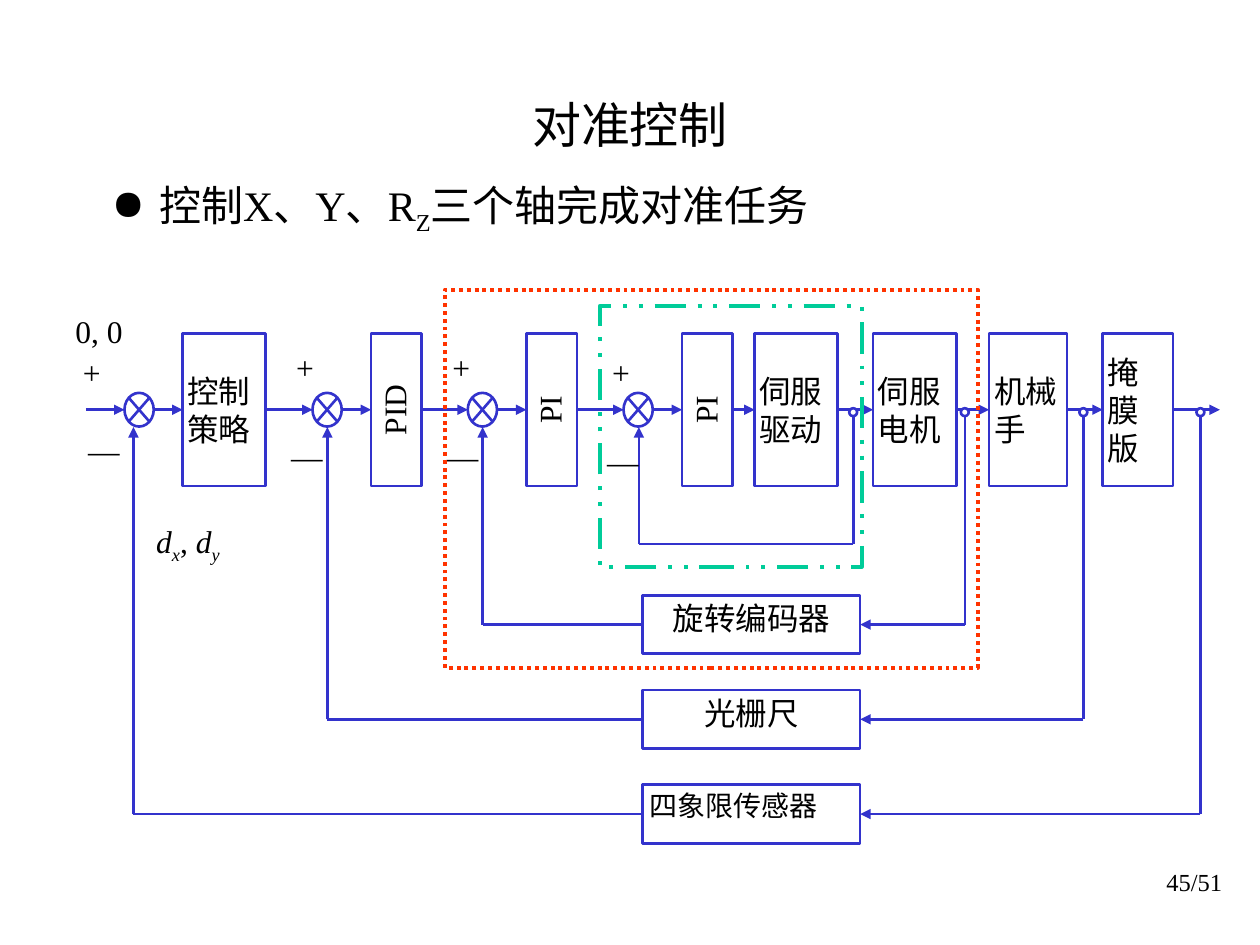
from lxml.etree import SubElement
from pptx import Presentation
from pptx.dml.color import RGBColor
from pptx.enum.dml import MSO_LINE
from pptx.enum.shapes import MSO_CONNECTOR, MSO_SHAPE
from pptx.enum.text import MSO_ANCHOR, PP_ALIGN
from pptx.oxml.ns import qn
from pptx.util import Cm, Pt

BLACK = RGBColor(0x00, 0x00, 0x00)
WHITE = RGBColor(0xFF, 0xFF, 0xFF)
BLUE = RGBColor(0x33, 0x33, 0xCC)
GREEN = RGBColor(0x00, 0xCC, 0x99)
RED = RGBColor(0xFF, 0x33, 0x00)
FONT = "Times New Roman"
LEFT, RIGHT = 1, 3

deck = Presentation()
deck.slide_width, deck.slide_height = Cm(25.4), Cm(19.05)
slide = deck.slides.add_slide(deck.slide_layouts[6])


def put(at, runs=(), kind=None, color=BLUE, fill=None, wide=1.5, dash=None,
        size=18, align=PP_ALIGN.LEFT, anchor=MSO_ANCHOR.TOP, inset=(0.15, 0.08),
        bullet=None):
    """Add a preset shape, or a text box if kind is None; at is in cm.

    Each run is (text, font values, is subscript).
    """
    place = [Cm(v) for v in at]
    if kind is None:
        shape = slide.shapes.add_textbox(*place)
    else:
        shape = slide.shapes.add_shape(kind, *place)
        shape.shadow.inherit = False
        shape.line.color.rgb = color
        shape.line.width = Pt(wide)
        if dash is not None:
            shape.line.dash_style = dash
        if fill is None:
            shape.fill.background()
        else:
            shape.fill.solid()
            shape.fill.fore_color.rgb = fill
    frame = shape.text_frame
    side, edge = Cm(inset[0]), Cm(inset[1])
    form = {"word_wrap": True, "vertical_anchor": anchor,
            "margin_left": side, "margin_right": side,
            "margin_top": edge, "margin_bottom": edge}
    for name, value in form.items():
        setattr(frame, name, value)
    para = frame.paragraphs[0]
    para.alignment = align
    if bullet:
        props = para._p.get_or_add_pPr()
        props.set("marL", str(Cm(0.96)))
        props.set("indent", str(Cm(-0.96)))
        SubElement(props, qn("a:buChar")).set("char", bullet)
    if isinstance(runs, str):
        runs = [(runs, {}, False)]
    for text, style, sub in runs:
        run = para.add_run()
        run.text = text
        for name, value in {"name": FONT, "size": Pt(size), **style}.items():
            setattr(run.font, name, value)
        run.font.color.rgb = BLACK
        if sub:
            run.font._element.set("baseline", "-25000")
    return shape


def link(x1, y1, x2, y2, arrow=False, start=None, end=None):
    """Draw a line in cm; start and end are (shape, side) to join."""
    wire = slide.shapes.add_connector(
        MSO_CONNECTOR.STRAIGHT, Cm(x1), Cm(y1), Cm(x2), Cm(y2))
    wire.line.color.rgb = BLUE
    wire.line.width = Pt(1.5)
    if start:
        wire.begin_connect(*start)
    if end:
        wire.end_connect(*end)
    props = wire.element.spPr
    if arrow:
        SubElement(props.find(qn("a:ln")), qn("a:tailEnd")).set("type", "triangle")
    SubElement(props, qn("a:effectLst"))


# Heading and bullet
put((1.9, 1.7, 21.6, 1.6), "对准控制", size=28, align=PP_ALIGN.CENTER,
    anchor=MSO_ANCHOR.MIDDLE, inset=(0.25, 0.13))
put((2, 3.48, 21.5, 13.44),
    [("控制X、Y、R", {}, False), ("Z", {}, True), ("三个轴完成对准任务", {}, False)],
    size=24, inset=(0.25, 0.13), bullet="●")

# Forward path: (left, width, label); no label means a summing junction
MID, TALL = 8.26, 3.08
chain = [
    (2.51, 0.59, ""), (3.68, 1.67, "控制策略"),
    (6.3, 0.59, ""), (7.48, 1.02, "PID"),
    (9.43, 0.59, ""), (10.61, 1.02, "PI"),
    (12.57, 0.59, ""), (13.75, 1.02, "PI"),
    (15.21, 1.68, "伺服驱动"), (17.6, 1.68, "伺服电机"),
    (19.94, 1.57, "机械手"), (22.23, 1.42, "掩膜版"),
]
last, tail = 1.73, None
for left, width, label in chain:
    if label:
        turned = label.startswith("PI")
        node = put((left, MID - TALL / 2, width, TALL), label, MSO_SHAPE.RECTANGLE,
                   align=PP_ALIGN.CENTER if turned else PP_ALIGN.LEFT,
                   anchor=MSO_ANCHOR.TOP if turned else MSO_ANCHOR.MIDDLE,
                   inset=(0.08, 0.05) if turned else (0.1, 0.08))
        if turned:
            node.text_frame._txBody.bodyPr.set("vert", "vert270")
    else:
        node = put((left, MID - 0.34, width, 0.68),
                   kind=MSO_SHAPE.FLOWCHART_SUMMING_JUNCTION)
    link(last, MID, left, MID, True, tail, (node, LEFT) if label else None)
    last, tail = left + width, (node, RIGHT) if label else None
link(last, MID, 24.59, MID, True, tail)

# Feedback loops: (tap x, return x, row y, sensor, size, alignment)
loops = [
    (17.2, 12.88, 10.97, "", 18, PP_ALIGN.CENTER),
    (19.45, 9.73, 12.59, "旋转编码器", 18, PP_ALIGN.CENTER),
    (21.84, 6.6, 14.5, "光栅尺", 18, PP_ALIGN.CENTER),
    (24.2, 2.69, 16.41, "四象限传感器", 16, PP_ALIGN.JUSTIFY),
]
for tap, back, row, label, size, align in loops:
    link(tap, MID, tap, row)
    if label:
        box = put((12.95, row - 0.59, 4.39, 1.18), label, MSO_SHAPE.RECTANGLE,
                  size=size, align=align)
        link(tap, row, 17.34, row, True, end=(box, RIGHT))
        link(12.95, row, back, row, start=(box, LEFT))
    else:
        link(tap, row, back, row)
    link(back, row, back, 8.61, True)
    put((tap - 0.08, 8.23, 0.16, 0.16), kind=MSO_SHAPE.OVAL, fill=WHITE)

# Signs at the junctions: (plus x, plus y, minus x, minus y)
for px, py, mx, my in [(1.52, 7.04, 1.63, 8.61), (5.82, 6.93, 5.72, 8.74),
                       (8.97, 6.93, 8.86, 8.74), (12.19, 7.04, 12.09, 8.84)]:
    put((px, py, 0.89, 1.14), "+", align=PP_ALIGN.JUSTIFY)
    put((mx, my, 0.89, 1.14), "—", align=PP_ALIGN.JUSTIFY)

# Inner loop frames
put((12.09, 6.17, 5.28, 5.26), kind=MSO_SHAPE.RECTANGLE, color=GREEN, wide=2.25,
    dash=MSO_LINE.DASH_DOT_DOT)
put((8.97, 5.84, 10.74, 7.62), kind=MSO_SHAPE.RECTANGLE, color=RED, wide=2.25,
    dash=MSO_LINE.ROUND_DOT)

# Signal names and page number
slant = {"italic": True}
put((1.52, 6.27, 1.83, 1.27), "0, 0", align=PP_ALIGN.JUSTIFY, inset=(0, 0.03))
put((3.05, 10.49, 1.52, 1.04),
    [("d", slant, False), ("x", slant, True), (", ", {}, False),
     ("d", slant, False), ("y", slant, True)],
    align=PP_ALIGN.JUSTIFY, inset=(0.1, 0.03))
put((19.61, 17.35, 5.28, 1.27), "45/51", size=14, align=PP_ALIGN.RIGHT,
    inset=(0.25, 0.13))

deck.save("out.pptx")
